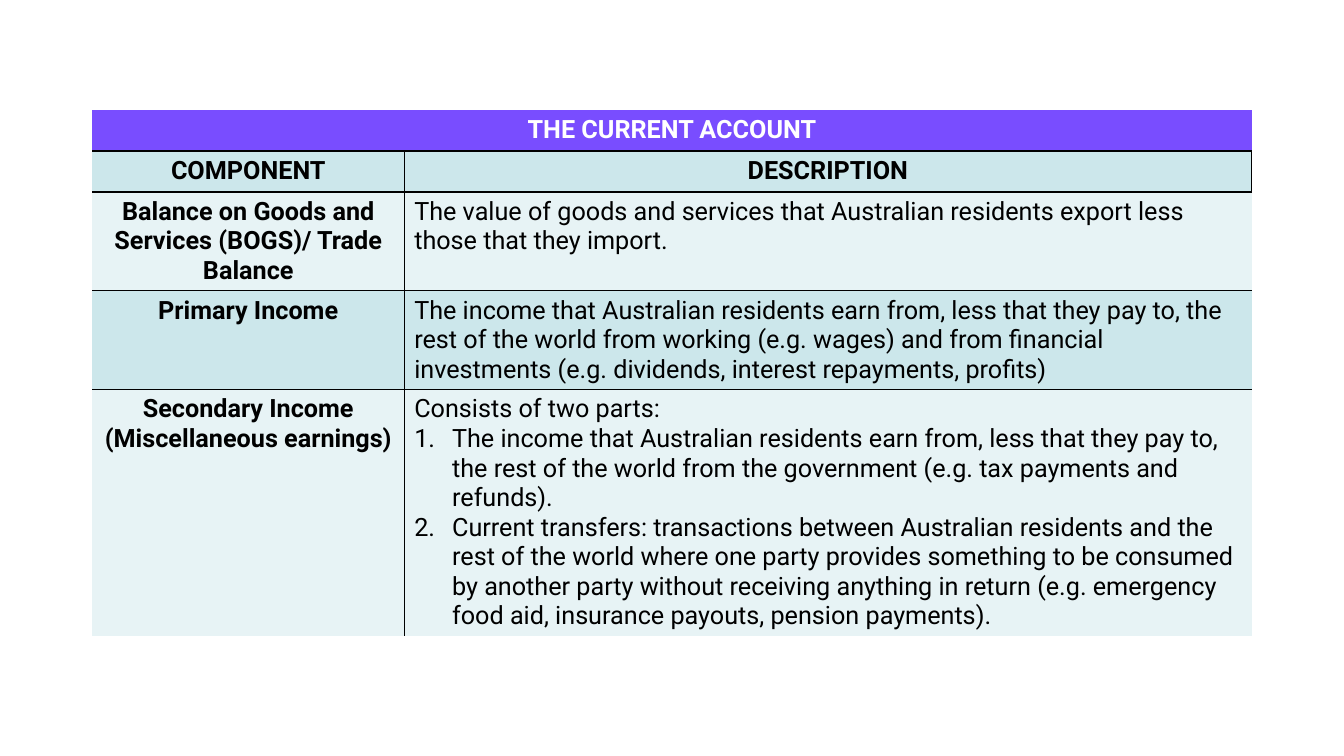
from dataclasses import dataclass

from lxml import etree
from pptx import Presentation
from pptx import util as u
from pptx.dml import color
from pptx.enum import text
from pptx.oxml import ns


@dataclass(frozen=True)
class Theme:
    font: str = "Roboto"
    size: int = 18
    title_fill: str = "794DFF"
    dark_fill: str = "CCE7EB"
    light_fill: str = "E7F3F5"
    title_ink: str = "FFFFFF"
    ink: str = "000000"
    border: int = 1


theme = Theme()


def fill_cell(cell, paragraphs, fill, ink=theme.ink, bold=True):
    """Write paragraphs, given as (text, numbered) pairs, on a coloured cell."""
    cell.fill.solid()
    cell.fill.fore_color.rgb = color.RGBColor.from_string(fill)
    frame = cell.text_frame
    for index, (words, numbered) in enumerate(paragraphs):
        para = frame.add_paragraph() if index else frame.paragraphs[0]
        para.alignment = text.PP_ALIGN.CENTER if bold else text.PP_ALIGN.LEFT
        if numbered:
            properties = para._p.get_or_add_pPr()
            properties.set("marL", str(u.Pt(27)))
            properties.set("indent", str(u.Pt(-27)))
            etree.SubElement(properties, ns.qn("a:buFont"), typeface="+mj-lt")
            etree.SubElement(properties, ns.qn("a:buAutoNum"), type="arabicPeriod")
        span = para.add_run()
        span.text = words
        span.font.color.rgb = color.RGBColor.from_string(ink)
        formats = {"name": theme.font, "size": u.Pt(theme.size), "bold": bold}
        for name, value in formats.items():
            setattr(span.font, name, value)


def set_borders(cell, sides):
    """Draw the named sides (of L, R, T, B) and clear the others."""
    properties = cell._tc.get_or_add_tcPr()
    for index, side in enumerate("LRTB"):
        line = etree.Element(ns.qn(f"a:ln{side}"), w=str(u.Pt(theme.border)))
        if side in sides:
            solid = etree.SubElement(line, ns.qn("a:solidFill"))
            etree.SubElement(solid, ns.qn("a:srgbClr"), val=theme.ink)
        else:
            etree.SubElement(line, ns.qn("a:noFill"))
        properties.insert(index, line)


# Content: component paragraphs, then description paragraphs
header = ([("COMPONENT", False)], [("DESCRIPTION", False)])
components = [
    (
        [("Balance on Goods and Services (BOGS)/ Trade Balance", False)],
        [("The value of goods and services that Australian residents export less "
          "those that they import.", False)],
    ),
    (
        [("Primary Income", False)],
        [("The income that Australian residents earn from, less that they pay to, the "
          "rest of the world from working (e.g. wages) and from financial "
          "investments (e.g. dividends, interest repayments, profits)", False)],
    ),
    (
        [("Secondary Income", False), ("(Miscellaneous earnings)", False)],
        [("Consists of two parts:", False),
         ("The income that Australian residents earn from, less that they pay to, "
          "the rest of the world from the government (e.g. tax payments and "
          "refunds).", True),
         ("Current transfers: transactions between Australian residents and the "
          "rest of the world where one party provides something to be consumed "
          "by another party without receiving anything in return (e.g. emergency "
          "food aid, insurance payouts, pension payments).", True)],
    ),
]
column_widths = [222.75, 605.25]
row_heights = [29.2, 29.2, 70.5, 70.5, 176]

# Page
deck = Presentation()
deck.slide_width, deck.slide_height = u.Pt(960), u.Pt(540)
page = deck.slides.add_slide(deck.slide_layouts[6])

# Table grid
frame = page.shapes.add_table(
    len(row_heights), len(column_widths), u.Pt(66), u.Pt(78.7),
    u.Pt(sum(column_widths)), u.Pt(sum(row_heights)))
table = frame.table
table.first_row = table.horz_banding = False
for column, width in zip(table.columns, column_widths):
    column.width = u.Pt(width)
for row, height in zip(table.rows, row_heights):
    row.height = u.Pt(height)

# Title row
title = table.cell(0, 0)
title.merge(table.cell(0, 1))
fill_cell(title, [("THE CURRENT ACCOUNT", False)], theme.title_fill, theme.title_ink)

# Header and component rows
for index, contents in enumerate([header, *components], start=1):
    fill = theme.dark_fill if index % 2 else theme.light_fill
    for column, paragraphs in enumerate(contents):
        bold = index == 1 or column == 0
        fill_cell(table.cell(index, column), paragraphs, fill, bold=bold)

# Inner rules, plus the right edge of the header
last = len(row_heights) - 1
for index in range(len(row_heights)):
    rules = ("T" if index else "") + ("B" if index < last else "")
    set_borders(table.cell(index, 0), rules + ("R" if index else ""))
    right_sides = {0: "", 1: "LR"}.get(index, "L")
    set_borders(table.cell(index, 1), rules + right_sides)

deck.save("out.pptx")
